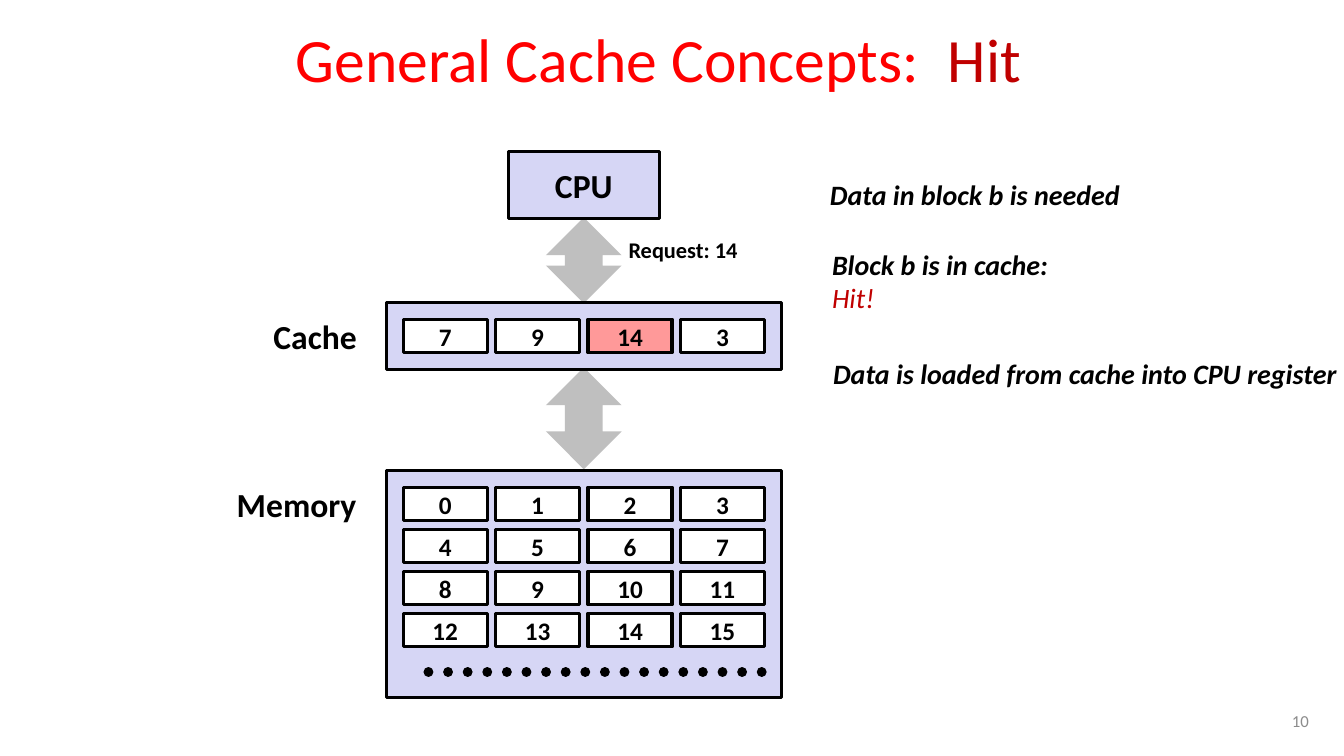
"""Build the slide on a cache hit: CPU, cache and memory with their blocks."""
from typing import NamedTuple

from lxml.etree import SubElement
from pptx import Presentation
from pptx.dml.color import RGBColor
from pptx.enum.dml import MSO_LINE
from pptx.enum.shapes import MSO_CONNECTOR, MSO_SHAPE
from pptx.enum.text import MSO_ANCHOR, PP_ALIGN
from pptx.oxml.ns import qn
from pptx.shapes.autoshape import Shape
from pptx.slide import Slide
from pptx.util import Emu, Pt

BLACK = RGBColor(0x00, 0x00, 0x00)
WHITE = RGBColor(0xFF, 0xFF, 0xFF)
RED = RGBColor(0xFF, 0x00, 0x00)
DARK = RGBColor(0xC0, 0x00, 0x00)
PINK = RGBColor(0xFF, 0x99, 0x99)
LILAC = RGBColor(0xD6, 0xD6, 0xF5)
SILVER = RGBColor(0xBF, 0xBF, 0xBF)
GRAY = RGBColor(0x8C, 0x8C, 0x8C)

CELL_X, CELL_W, CELL_H = 384, 80, 32
STEP_X, STEP_Y = 88, 40
COLS = 4


class Area(NamedTuple):
    """A place on the slide in px."""
    x: int
    y: int
    w: int
    h: int


class Bank(NamedTuple):
    """A framed store of numbered blocks."""
    frame: Area
    top: int
    blocks: list[int]
    hit: int | None = None


class Label(NamedTuple):
    """A line of bold text at a place."""
    text: str
    area: Area
    size: int
    align: PP_ALIGN = PP_ALIGN.LEFT


class Note(NamedTuple):
    """An italic remark with an optional result below it."""
    text: str
    area: Area
    result: str = ""


BANKS = [
    Bank(Area(368, 448, 376, 216), 464, list(range(16))),
    Bank(Area(368, 288, 376, 64), 304, [7, 9, 14, 3], hit=14),
]
ARROWS = [Area(520, 207, 72, 82), Area(520, 350, 72, 97)]
LABELS = [
    Label("Cache", Area(251, 296, 100, 48), 24),
    Label("Memory", Area(216, 456, 134, 48), 24),
    Label("Request: 14", Area(588, 220, 125, 36), 16, PP_ALIGN.CENTER),
]
NOTES = [
    Note("Data in block b is needed", Area(781, 166, 297, 41)),
    Note("Block b is in cache:", Area(783, 232, 227, 73), "Hit!"),
    Note("Data is loaded from cache into CPU register", Area(784, 336, 528, 41)),
]


def px(num: int) -> Emu:
    """Turn px into EMU."""
    return Emu(num * 9525)


def place(area: Area) -> list[Emu]:
    """Give the left, top, width and height of an area in EMU."""
    return [px(num) for num in area]


def write(shape: Shape, text: str, *, size: int, color: RGBColor = BLACK,
          bold: bool = False, italic: bool = False,
          align: PP_ALIGN = PP_ALIGN.LEFT, anchor: MSO_ANCHOR = MSO_ANCHOR.MIDDLE,
          wrap: bool = True, lead: float | None = None,
          tail: str = "", split: bool = False) -> None:
    """Write text, then a dark red tail on the same or a new line."""
    frame = shape.text_frame
    frame.word_wrap = wrap
    frame.vertical_anchor = anchor
    para = frame.paragraphs[0]
    for part, tint, heavy in ((text, color, bold), (tail, DARK, False)):
        if not part:
            continue
        if part is tail and split:
            para = frame.add_paragraph()
        para.alignment = align
        para.line_spacing = lead
        run = para.add_run()
        run.text = part
        font = run.font
        font.name, font.size = "Calibri", Pt(size)
        font.bold, font.italic = heavy, italic
        font.color.rgb = tint


def add_text(slide: Slide, area: Area) -> Shape:
    """Add an empty text box."""
    return slide.shapes.add_textbox(*place(area))


def add_box(slide: Slide, area: Area, fill: RGBColor) -> Shape:
    """Add a filled box with a black edge."""
    box = slide.shapes.add_shape(MSO_SHAPE.RECTANGLE, *place(area))
    box.shadow.inherit = False
    box.fill.solid()
    box.fill.fore_color.rgb = fill
    box.line.color.rgb = BLACK
    box.line.width = Pt(2.25)
    return box


def add_arrow(slide: Slide, area: Area) -> None:
    """Add a silver arrow that points up and down."""
    arrow = slide.shapes.add_shape(MSO_SHAPE.UP_DOWN_ARROW, *place(area))
    arrow.shadow.inherit = False
    arrow.fill.solid()
    arrow.fill.fore_color.rgb = SILVER
    arrow.line.fill.background()


def add_bank(slide: Slide, bank: Bank) -> None:
    """Add a frame and its grid of blocks."""
    add_box(slide, bank.frame, LILAC)
    for i, block in enumerate(bank.blocks):
        row, col = divmod(i, COLS)
        area = Area(CELL_X + col * STEP_X, bank.top + row * STEP_Y, CELL_W, CELL_H)
        cell = add_box(slide, area, PINK if block == bank.hit else WHITE)
        write(cell, str(block), size=18, bold=True, align=PP_ALIGN.CENTER)


def add_dots(slide: Slide, left: int, right: int, y: int) -> None:
    """Add a row of round dots."""
    dots = slide.shapes.add_connector(
        MSO_CONNECTOR.STRAIGHT, px(left), px(y), px(right), px(y))
    dots.line.color.rgb = BLACK
    dots.line.width = Pt(7)
    dots.line.dash_style = MSO_LINE.ROUND_DOT
    props = dots._element.spPr
    props.find(qn("a:ln")).set("cap", "rnd")
    SubElement(props, qn("a:effectLst"))


def main() -> None:
    """Draw and save the slide."""
    deck = Presentation()
    deck.slide_width, deck.slide_height = px(1280), px(720)
    slide = deck.slides.add_slide(deck.slide_layouts[6])

    write(add_text(slide, Area(957, 667, 299, 38)), "10",
          size=12, color=GRAY, align=PP_ALIGN.RIGHT)
    write(add_text(slide, Area(117, 16, 1020, 78)), "General Cache Concepts:  ",
          size=44, color=RED, align=PP_ALIGN.CENTER, tail="Hit")
    for note in NOTES:
        write(add_text(slide, note.area), note.text, size=20, bold=True,
              italic=True, wrap=False, lead=0.98, tail=note.result, split=True)
    for area in ARROWS:
        add_arrow(slide, area)
    for bank in BANKS:
        add_bank(slide, bank)
    add_dots(slide, 408, 728, 640)
    for label in LABELS:
        write(add_text(slide, label.area), label.text, size=label.size, bold=True,
              align=label.align, anchor=MSO_ANCHOR.TOP, wrap=False)
    cpu = add_box(slide, Area(484, 144, 144, 64), LILAC)
    write(cpu, "CPU", size=24, bold=True, align=PP_ALIGN.CENTER)

    deck.save("out.pptx")


if __name__ == "__main__":
    main()
